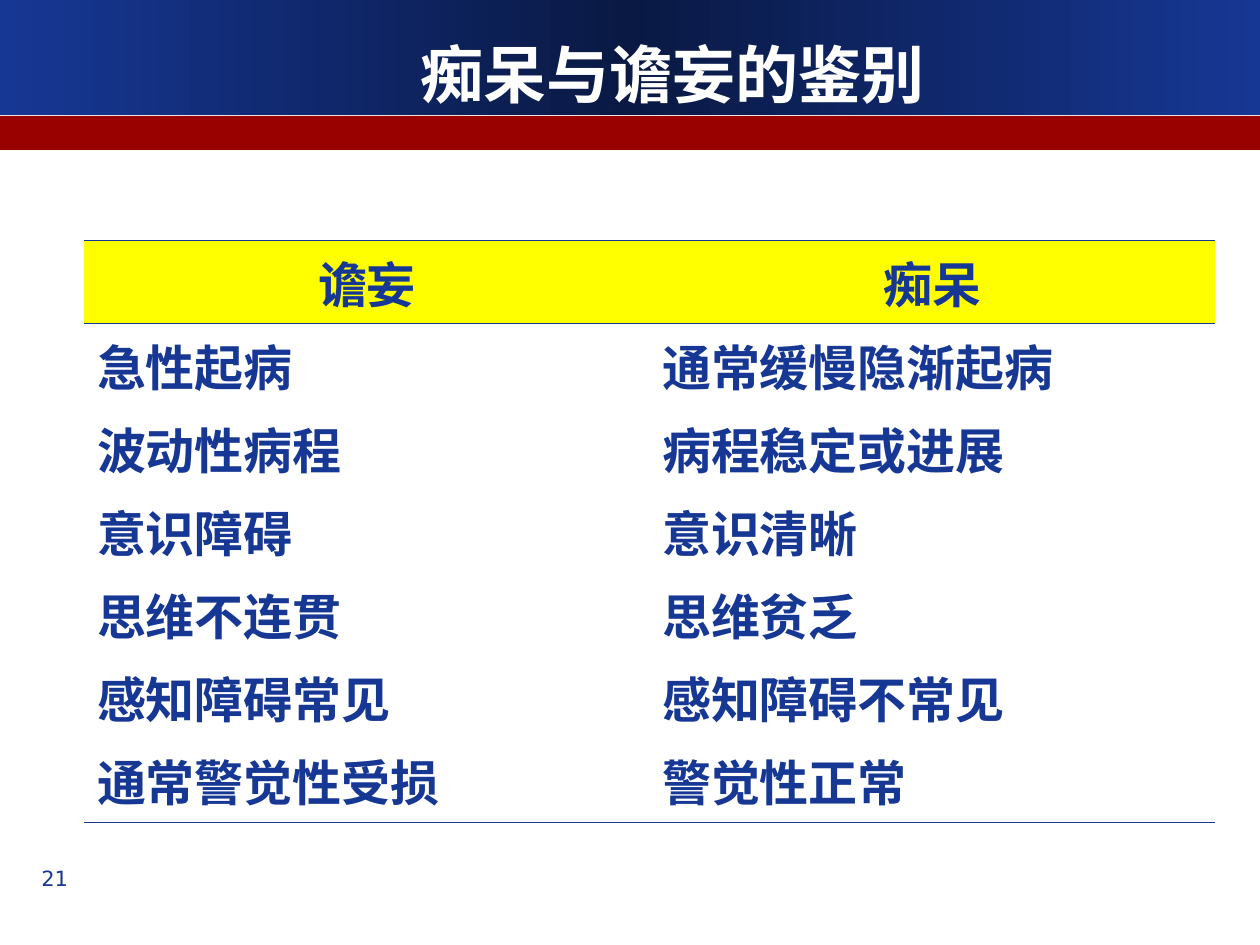
"""Build a slide that compares delirium with dementia in a two-column table."""
from copy import deepcopy

from lxml import etree
from pptx import Presentation
from pptx.dml.color import RGBColor
from pptx.enum.shapes import MSO_SHAPE
from pptx.enum.text import MSO_ANCHOR, PP_ALIGN
from pptx.oxml.ns import qn
from pptx.util import Inches, Pt

RECTANGLE = MSO_SHAPE.RECTANGLE
CENTER, LEFT = PP_ALIGN.CENTER, PP_ALIGN.LEFT
MIDDLE, TOP = MSO_ANCHOR.MIDDLE, MSO_ANCHOR.TOP
BLUE, NAVY, RED, YELLOW, WHITE = "163794", "0A1944", "990000", "FFFF00", "FFFFFF"
CHINESE, LATIN = "Noto Sans CJK SC", "DejaVu Sans"
RULE_WIDTH = Pt(0.45)
ROW_HEIGHTS = (0.66, 3.96)


def color(value):
    return RGBColor.from_string(value)


def write(frame, lines, align, size, font, ink, bold):
    frame.word_wrap = True
    for index, line in enumerate(lines):
        para = frame.paragraphs[0] if index == 0 else frame.add_paragraph()
        para.alignment = align
        para.space_before = Pt(7 if index else 0)
        span = para.add_run()
        span.text = line
        for name, value in {"size": Pt(size), "name": font, "bold": bold}.items():
            setattr(span.font, name, value)
        span.font.color.rgb = color(ink)
        etree.SubElement(span.font._element, qn("a:ea"), typeface=font)


deck = Presentation()
deck.slide_width, deck.slide_height = Inches(10), Inches(7.5)
page = deck.slides.add_slide(deck.slide_layouts[6])

bands = []
for top, height in ((0, 0.91), (0.92, 0.27)):
    band = page.shapes.add_shape(RECTANGLE, 0, Inches(top), deck.slide_width, Inches(height))
    band.shadow.inherit = False
    band.line.fill.background()
    bands.append(band)
header_band, red_band = bands
red_band.fill.solid()
red_band.fill.fore_color.rgb = color(RED)

header_band.fill.gradient()
header_band.fill.gradient_angle = 0
stop_list = header_band._element.spPr.find(qn("a:gradFill")).find(qn("a:gsLst"))
stop_list.insert(1, deepcopy(stop_list[0]))
for stop, position, shade in zip(header_band.fill.gradient_stops, (0, 0.5, 1), (BLUE, NAVY, BLUE)):
    stop.position = position
    stop.color.rgb = color(shade)

labels = (
    ("痴呆与谵妄的鉴别", (1.42, 0.17, 7.83, 0.83), MIDDLE, 36, CHINESE, WHITE, True),
    ("21", (0.2, 6.82, 0.47, 0.47), TOP, 12, LATIN, BLUE, False),
)
for text, place, anchor, size, font, ink, bold in labels:
    box = page.shapes.add_textbox(*map(Inches, place))
    box.text_frame.vertical_anchor = anchor
    write(box.text_frame, [text], CENTER, size, font, ink, bold)

columns = (
    ("谵妄", ("急性起病", "波动性病程", "意识障碍", "思维不连贯", "感知障碍常见", "通常警觉性受损")),
    ("痴呆", ("通常缓慢隐渐起病", "病程稳定或进展", "意识清晰", "思维贫乏", "感知障碍不常见", "警觉性正常")),
)
holder = page.shapes.add_table(2, 2, *map(Inches, (0.67, 1.91, 8.97, sum(ROW_HEIGHTS))))
table = holder.table
table.horz_banding = table.first_row = False
table._tbl.tblPr.find(qn("a:tableStyleId")).text = "{2D5ABB26-0587-4C30-8999-92F81FD0307C}"
for row, height in zip(table.rows, ROW_HEIGHTS):
    row.height = Inches(height)

for column, (heading, findings) in enumerate(columns):
    for row, (lines, align) in enumerate((([heading], CENTER), (findings, LEFT))):
        cell = table.cell(row, column)
        write(cell.text_frame, lines, align, 28, CHINESE, BLUE, True)
        if row == 0:
            cell.fill.solid()
            cell.fill.fore_color.rgb = color(YELLOW)
        else:
            cell.fill.background()
        for index, tag in enumerate(("a:lnT", "a:lnB")):
            edge = etree.Element(qn(tag), w=str(RULE_WIDTH))
            paint = etree.SubElement(edge, qn("a:solidFill"))
            etree.SubElement(paint, qn("a:srgbClr"), val=BLUE)
            cell._tc.get_or_add_tcPr().insert(index, edge)

deck.save("out.pptx")
